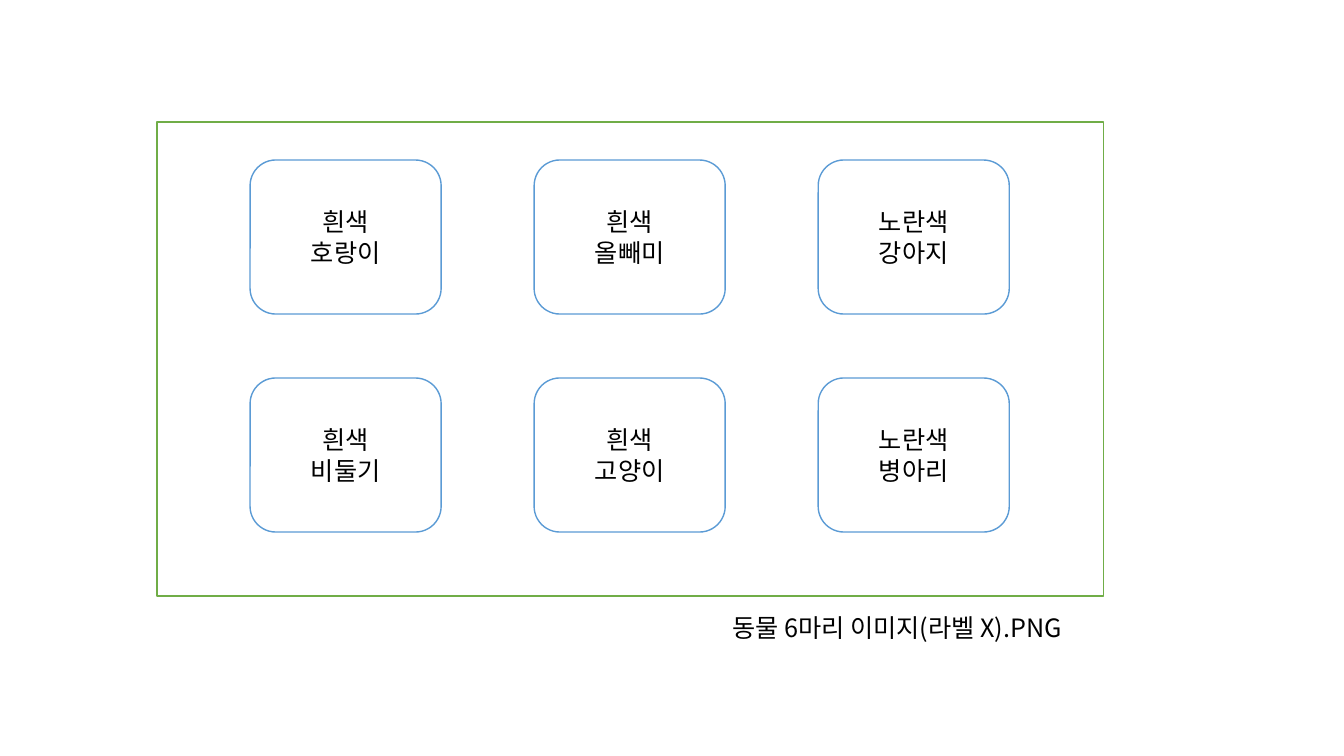
from pptx import Presentation
from pptx import util as u
from pptx.dml.color import RGBColor
from pptx.enum import shapes, text
from lxml import etree

EMU_PER_PIXEL = 914400 / 100.8
FONT = "Noto Sans CJK KR"
DRAWING = "http://schemas.openxmlformats.org/drawingml/2006/main"

presentation = Presentation()
presentation.slide_width = u.Inches(13.33)
presentation.slide_height = u.Inches(7.5)
slide = presentation.slides.add_slide(presentation.slide_layouts[6])


def add_box(kind, pixels, line_color):
    """Add a white outlined shape at left, top, width, height in pixels."""
    shape = slide.shapes.add_shape(kind, *[round(p * EMU_PER_PIXEL) for p in pixels])
    shape.shadow.inherit = False
    shape.fill.solid()
    shape.fill.fore_color.rgb = RGBColor.from_string("FFFFFF")
    shape.line.color.rgb = RGBColor.from_string(line_color)
    shape.line.width = u.Pt(1)
    return shape


def write_lines(shape, lines, alignment):
    """Write one black 18 pt paragraph per line of text."""
    frame = shape.text_frame
    frame.word_wrap = True
    for index, line in enumerate(lines):
        paragraph = frame.add_paragraph() if index else frame.paragraphs[0]
        paragraph.alignment = alignment
        paragraph.line_spacing = u.Pt(21.6)
        run = paragraph.add_run()
        run.text = line
        run.font.size = u.Pt(18)
        run.font.name = FONT
        run.font.color.rgb = RGBColor.from_string("000000")
        east_asian = etree.SubElement(run.font._element, f"{{{DRAWING}}}ea")
        east_asian.set("typeface", FONT)


add_box(shapes.MSO_SHAPE.RECTANGLE, (157, 122, 946, 474), "70AD47")

animals = [
    [("흰색", "호랑이"), ("흰색", "올빼미"), ("노란색", "강아지")],
    [("흰색", "비둘기"), ("흰색", "고양이"), ("노란색", "병아리")],
]
for row, row_animals in enumerate(animals):
    for column, lines in enumerate(row_animals):
        card = add_box(shapes.MSO_SHAPE.ROUNDED_RECTANGLE,
                       (250 + 284 * column, 160 + 218 * row, 191, 154), "5B9BD5")
        card.text_frame.vertical_anchor = text.MSO_ANCHOR.MIDDLE
        write_lines(card, lines, text.PP_ALIGN.CENTER)

caption = slide.shapes.add_textbox(
    *[round(p * EMU_PER_PIXEL) for p in (722, 607, 622, 40)])
caption.text_frame.auto_size = text.MSO_AUTO_SIZE.SHAPE_TO_FIT_TEXT
write_lines(caption, ["동물 6마리 이미지(라벨 X).PNG"], text.PP_ALIGN.LEFT)

presentation.save("out.pptx")
